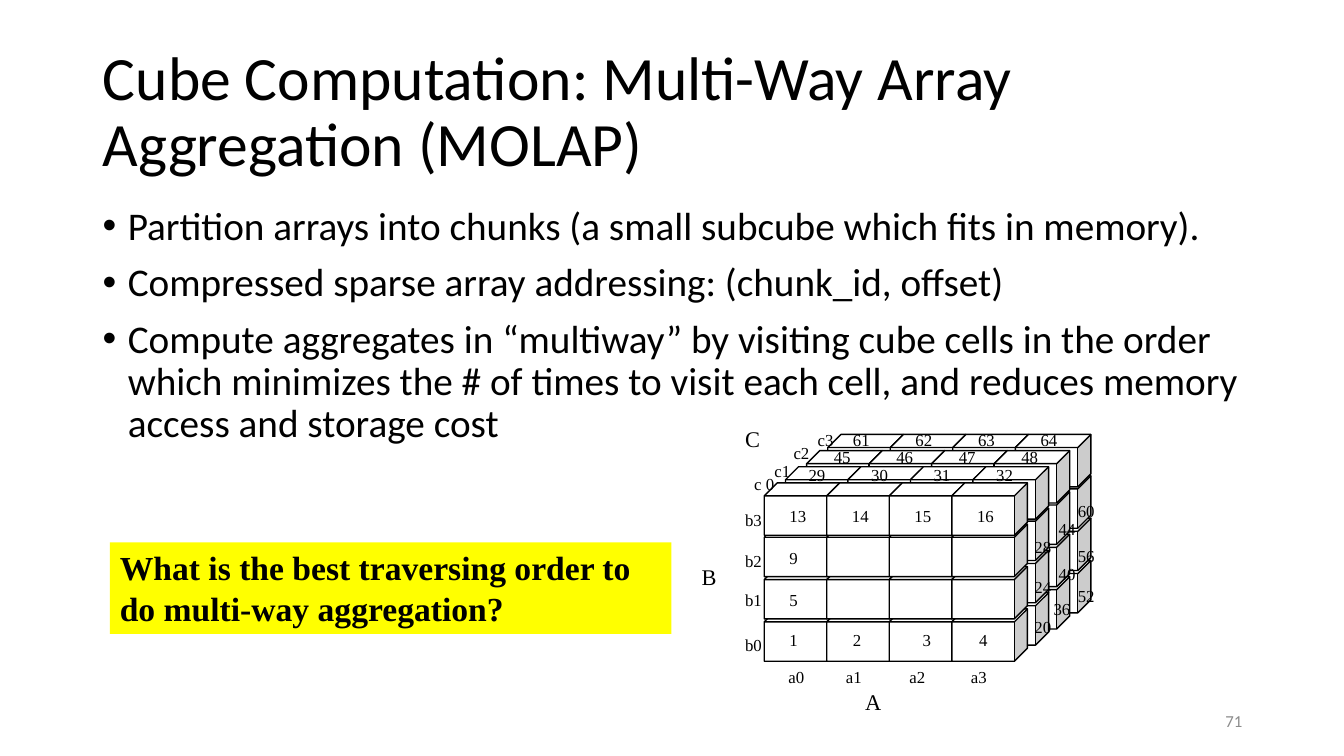
from pptx import Presentation
from pptx.dml.color import RGBColor
from pptx.enum.shapes import MSO_SHAPE
from pptx.enum.text import MSO_ANCHOR, MSO_AUTO_SIZE, PP_ALIGN
from pptx.util import Inches, Pt
from lxml import etree

CUBE, RECT = MSO_SHAPE.CUBE, MSO_SHAPE.RECTANGLE
LEFT, RIGHT = PP_ALIGN.LEFT, PP_ALIGN.RIGHT
TOP, MIDDLE = MSO_ANCHOR.TOP, MSO_ANCHOR.MIDDLE
NO_FIT, GROW = MSO_AUTO_SIZE.NONE, MSO_AUTO_SIZE.SHAPE_TO_FIT_TEXT
BLACK = RGBColor(0x00, 0x00, 0x00)
WHITE = RGBColor(0xFF, 0xFF, 0xFF)
YELLOW = RGBColor(0xFF, 0xFF, 0x00)
GRAY = RGBColor(0x8C, 0x8C, 0x8C)
SANS, SERIF = "Calibri", "Times New Roman"
DRAW = "{http://schemas.openxmlformats.org/drawingml/2006/main}"

TITLE = "Cube Computation: Multi-Way Array Aggregation (MOLAP)"
POINTS = [
    "Partition arrays into chunks (a small subcube which fits in memory).",
    "Compressed sparse array addressing: (chunk_id, offset)",
    "Compute aggregates in “multiway” by visiting cube cells in the order "
    "which minimizes the # of times to visit each cell, and reduces memory "
    "access and storage cost",
]
QUERY = "What is the best traversing order to do multi-way aggregation?"

FRONT_X = 7.58
COL_GAP = 0.62
ROW_TOPS = [6.04, 5.62, 5.2, 4.79]
DEPTH_X, DEPTH_Y = 0.21, 0.16
SIZE = 4

TOP_ROWS = [(13, 7.83, 5.02), (29, 8.02, 4.61), (45, 8.27, 4.43), (61, 8.46, 4.26)]
TAGS = [
    ("1 2 3 4", [7.83, 8.46, 9.15, 9.71], [6.25] * 4),
    ("5 9", [7.83] * 2, [5.85, 5.43]),
    ("20 24 28", [10.26] * 3, [6.12, 5.72, 5.32]),
    ("36 40 44", [10.45, 10.5, 10.5], [5.94, 5.59, 5.15]),
    ("52 56 60", [10.69] * 3, [5.81, 5.41, 4.97]),
    ("a0 a1 a2 a3", [7.82, 8.39, 9.02, 9.63], [6.61] * 4),
    ("b0 b1 b2 b3", [7.39] * 4, [6.3, 5.85, 5.46, 5.06]),
    ("c1 c2 c3", [7.68, 7.87, 8.11], [4.57, 4.39, 4.26]),
]
AXES = [("A", 8.58, 6.83), ("B", 6.96, 5.59), ("C", 7.39, 4.22)]


def style(para, face, size, color=BLACK, bold=False):
    font = para.font
    font.name, font.size, font.bold = face, Pt(size), bold
    font.color.rgb = color


def add_box(shapes, x, y, wide, high):
    return shapes.add_textbox(Inches(x), Inches(y), Inches(wide), Inches(high))


def set_title(slide):
    title = slide.shapes.title
    title.left, title.top = Inches(0.92), Inches(0.4)
    title.width, title.height = Inches(11.5), Inches(1.45)
    frame = title.text_frame
    frame.text = TITLE
    frame.auto_size = NO_FIT
    frame.vertical_anchor = MIDDLE
    para = frame.paragraphs[0]
    para.alignment = LEFT
    para.line_spacing = 0.9
    style(para, SANS, 44)


def add_points(slide):
    frame = add_box(slide.shapes, 0.92, 2, 11.5, 4.76).text_frame
    frame.word_wrap = True
    frame.text = "\n".join(POINTS)
    for i, para in enumerate(frame.paragraphs):
        para.line_spacing = 0.9
        para.space_before = Pt(10 if i else 0)
        props = para._p.get_or_add_pPr()
        props.set("marL", str(Inches(0.25)))
        props.set("indent", str(Inches(-0.25)))
        etree.SubElement(props, DRAW + "buFont", typeface="Arial")
        etree.SubElement(props, DRAW + "buChar", char="•")
        style(para, SANS, 28)


def add_query(slide):
    box = slide.shapes.add_shape(
        RECT, Inches(1.09), Inches(5.38), Inches(5.57), Inches(0.91))
    box.shadow.inherit = False
    box.fill.solid()
    box.fill.fore_color.rgb = YELLOW
    box.line.fill.background()
    frame = box.text_frame
    frame.word_wrap = True
    frame.vertical_anchor = TOP
    frame.auto_size = GROW
    frame.text = QUERY
    para = frame.paragraphs[0]
    para.alignment = LEFT
    style(para, SERIF, 24, bold=True)


def add_cube(group, col, row, depth):
    x = FRONT_X + col * COL_GAP + depth * DEPTH_X
    y = ROW_TOPS[row] - depth * DEPTH_Y
    cube = group.shapes.add_shape(
        CUBE, Inches(x), Inches(y), Inches(0.75), Inches(0.52))
    cube.shadow.inherit = False
    cube.fill.solid()
    cube.fill.fore_color.rgb = WHITE
    cube.line.color.rgb = BLACK
    cube.line.width = Pt(1)


def add_tag(group, text, x, y, size=12):
    wide = 0.17 if size > 12 else min(0.21, 0.09 * len(text))
    frame = add_box(group.shapes, x, y, wide, size / 60).text_frame
    frame.margin_left = frame.margin_right = 0
    frame.margin_top = frame.margin_bottom = 0
    frame.word_wrap = False
    frame.auto_size = GROW
    frame.text = text
    style(frame.paragraphs[0], SERIF, size)


def add_array(slide):
    group = slide.shapes.add_group_shape()
    last = SIZE - 1
    for depth in reversed(range(SIZE)):
        for row in range(SIZE):
            for col in range(SIZE):
                if depth == 0 or row == last or col == last:
                    add_cube(group, col, row, depth)
    for first, x, y in TOP_ROWS:
        for col in range(SIZE):
            add_tag(group, str(first + col), x + col * COL_GAP, y)
    for texts, lefts, tops in TAGS:
        for text, x, y in zip(texts.split(), lefts, tops):
            add_tag(group, text, x, y)
    add_tag(group, "c 0", 7.48, 4.7)
    for text, x, y in AXES:
        add_tag(group, text, x, y, 16)


def add_number(slide):
    frame = add_box(slide.shapes, 9.42, 6.95, 3, 0.4).text_frame
    frame.word_wrap = True
    frame.vertical_anchor = MIDDLE
    frame.text = "71"
    para = frame.paragraphs[0]
    para.alignment = RIGHT
    style(para, SANS, 12, GRAY)


def main():
    deck = Presentation()
    deck.slide_width, deck.slide_height = Inches(13.33), Inches(7.5)
    slide = deck.slides.add_slide(deck.slide_layouts[5])
    set_title(slide)
    add_points(slide)
    add_query(slide)
    add_array(slide)
    add_number(slide)
    deck.save("out.pptx")


if __name__ == "__main__":
    main()
